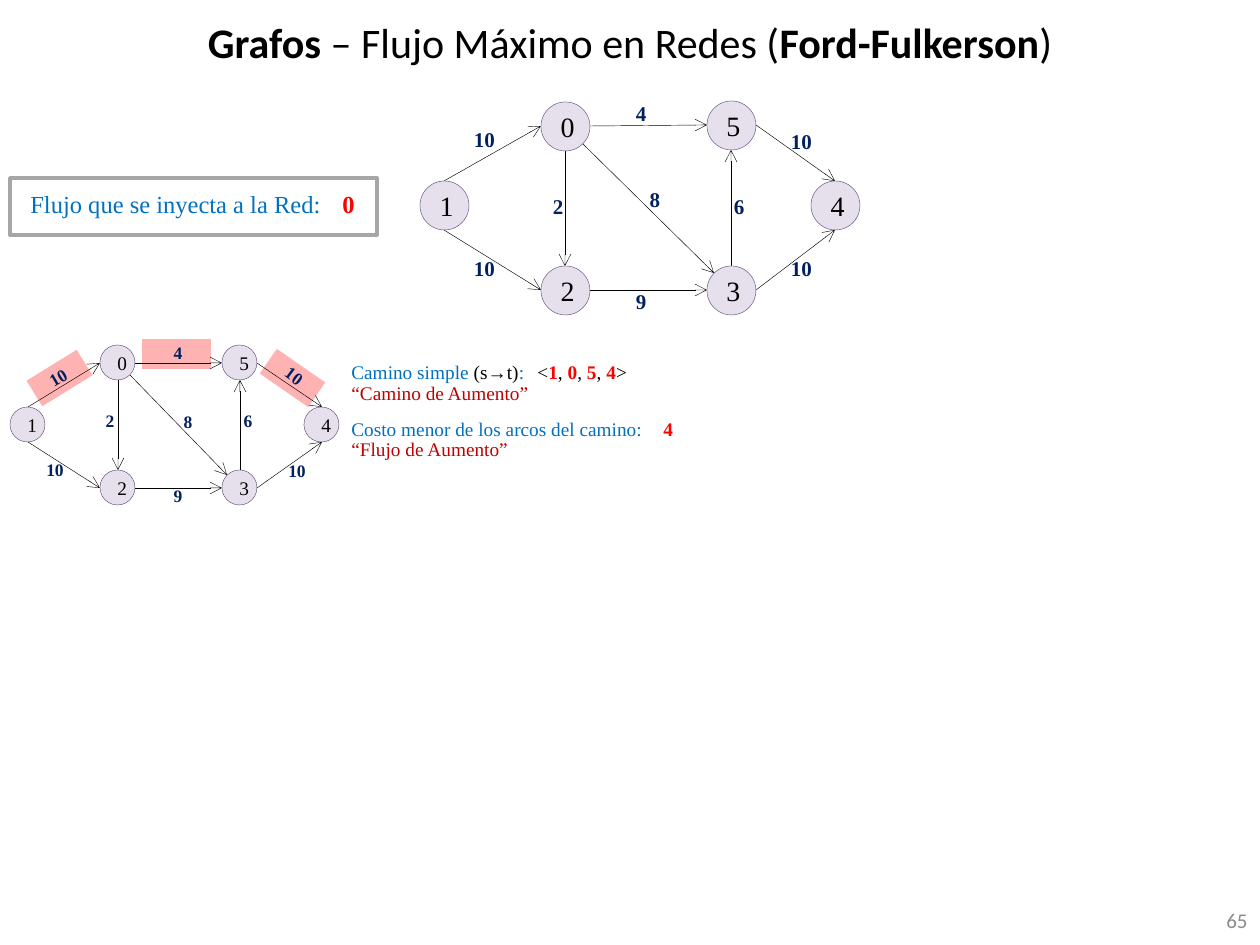
from dataclasses import dataclass
from lxml.etree import SubElement
from pptx import Presentation
from pptx.dml.color import RGBColor
from pptx.enum.shapes import MSO_CONNECTOR, MSO_SHAPE
from pptx.enum.text import MSO_ANCHOR, MSO_AUTO_SIZE, PP_ALIGN
from pptx.oxml.ns import qn
from pptx.util import Pt

SCALE = 914400 / 126  # EMU in one px


def px(*sizes):
    return [round(size * SCALE) for size in sizes]


@dataclass(frozen=True)
class Theme:
    black: str = "000000"
    blue: str = "0070C0"
    navy: str = "002060"
    red: str = "FF0000"
    wine: str = "C00000"
    gray: str = "8C8C8C"
    frame: str = "A6A6A6"
    lilac: str = "E6E0EC"
    purple: str = "604A7B"
    serif: str = "Times New Roman"
    sans: str = "Calibri"
    head: int = 24
    lead: int = 14
    note: int = 11
    page: int = 12


def write(frame, *runs, font, size, color="000000", bold=False,
          align=PP_ALIGN.LEFT, anchor=MSO_ANCHOR.TOP, lead=None):
    """Fill a frame; a run is a text, or (text, color, bold)."""
    frame.word_wrap = True
    frame.auto_size = MSO_AUTO_SIZE.NONE
    frame.vertical_anchor = anchor
    para = frame.paragraphs[0]
    para.alignment = align
    if lead:
        para.line_spacing = Pt(lead)
    for item in runs:
        text, tint, heavy = (item, color, bold) if isinstance(item, str) else item
        run = para.add_run()
        run.text = text
        run.font.name = font
        run.font.size = Pt(size)
        run.font.bold = heavy
        run.font.color.rgb = RGBColor.from_string(tint)


class Deck:
    def __init__(self, theme):
        self.theme = theme
        self.file = Presentation()
        self.file.slide_width, self.file.slide_height = px(1260, 945)
        self.slide = self.file.slides.add_slide(self.file.slide_layouts[5])
        self.art = self.slide.shapes  # where new parts go

    def title(self, box, *runs):
        head = self.slide.shapes.title
        head.left, head.top, head.width, head.height = px(*box)
        write(head.text_frame, *runs, font=self.theme.sans, size=self.theme.head,
              align=PP_ALIGN.CENTER, anchor=MSO_ANCHOR.MIDDLE)

    def text(self, box, *runs, turn=0, **style):
        area = self.art.add_textbox(*px(*box))
        area.rotation = turn
        write(area.text_frame, *runs, **{"font": self.theme.serif, **style})

    def shape(self, kind, box, fill=None, line=None, width=0.25, turn=0, alpha=None):
        item = self.art.add_shape(kind, *px(*box))
        item.shadow.inherit = False
        item.rotation = turn
        if fill:
            item.fill.solid()
            item.fill.fore_color.rgb = RGBColor.from_string(fill)
        else:
            item.fill.background()
        if alpha:
            tint = next(item.element.iter(qn("a:srgbClr")))
            SubElement(tint, qn("a:alpha"), val=str(alpha * 1000))
        if line:
            item.line.color.rgb = RGBColor.from_string(line)
            item.line.width = Pt(width)
        else:
            item.line.fill.background()
        return item

    def arrow(self, start, end):
        link = self.art.add_connector(MSO_CONNECTOR.STRAIGHT, *px(*start, *end))
        link.line.color.rgb = RGBColor.from_string(self.theme.black)
        link.line.width = Pt(0.25)
        props = link.element.spPr
        SubElement(props.find(qn("a:ln")), qn("a:tailEnd"), type="arrow")
        SubElement(props, qn("a:effectLst"))

    def graph(self, nodes, side, tags, wide, size, small):
        """Draw the network: arrows, then costs, then nodes on top."""
        self.art = self.slide.shapes.add_group_shape().shapes
        for edge in EDGES:
            start, end, exit, entry, _ = edge
            self.arrow(*[(x + round(side * u), y + round(side * v))
                         for (x, y), (u, v) in ((nodes[start], PORTS[exit]),
                                                (nodes[end], PORTS[entry]))])
        for (*_, cost), (x, y, *turn) in zip(EDGES, tags):
            self.text((x, y, wide if len(cost) > 1 else 44, 28), cost,
                      turn=turn[0] if turn else 0, size=size, bold=True,
                      color=self.theme.navy, align=PP_ALIGN.CENTER, lead=8)
        for name, (x, y) in nodes.items():
            disc = self.shape(MSO_SHAPE.OVAL, (x, y, side, side),
                              fill=self.theme.lilac, line=self.theme.purple)
            write(disc.text_frame, name, font=self.theme.serif, size=small,
                  align=PP_ALIGN.CENTER, anchor=MSO_ANCHOR.MIDDLE)
        self.art = self.slide.shapes


# Points on a node, as shares of its side
PORTS = {"top": (0.5, 0), "left": (0, 0.5), "low": (0.5, 1), "right": (1, 0.5),
         "southeast": (0.86, 0.86), "northwest": (0.14, 0.14)}

# From, to, exit port, entry port, cost
EDGES = [
    ("1", "0", "top", "left", "10"),
    ("0", "5", "right", "left", "4"),
    ("0", "2", "low", "top", "2"),
    ("2", "3", "right", "left", "9"),
    ("0", "3", "southeast", "northwest", "8"),
    ("3", "5", "top", "low", "6"),
    ("5", "4", "right", "top", "10"),
    ("3", "4", "right", "low", "10"),
    ("1", "2", "low", "left", "10"),
]


def main():
    look = Theme()
    deck = Deck(look)

    # Title and page number
    deck.title((0, 0, 1260, 84), ("Grafos ", look.black, True),
               "– Flujo Máximo en Redes (",
               ("Ford-Fulkerson", look.black, True), ")")
    deck.text((1207, 895, 53, 50), "65", font=look.sans, size=look.page,
              color=look.gray, align=PP_ALIGN.RIGHT, anchor=MSO_ANCHOR.MIDDLE)

    # Marks behind the chosen path
    for box, turn in (((142, 339, 69, 30), 0), ((263, 363, 59, 30), 34.7),
                      ((30, 363, 59, 30), 328.3)):
        deck.shape(MSO_SHAPE.RECTANGLE, box, fill=look.red, turn=turn, alpha=30)

    # Full network
    deck.graph({"1": (420, 181), "2": (541, 266), "0": (541, 102),
                "5": (707, 101), "4": (811, 181), "3": (707, 266)}, 49,
               [(460, 132), (619, 106), (536, 199), (619, 294), (633, 192),
                (717, 199), (777, 134), (777, 261), (460, 261)],
               wide=49, size=12, small=16)

    # First step
    deck.graph({"1": (10, 407), "2": (100, 470), "0": (100, 345),
                "5": (222, 345), "4": (304, 407), "3": (222, 470)}, 35,
               [(38, 367, 329.5), (156, 343), (88, 411), (156, 486), (166, 412),
                (226, 411), (270, 365, 36.5), (275, 461), (33, 460)],
               wide=44, size=10, small=11)

    # Path and flow of the step
    deck.text((339, 354, 217, 36), "Camino simple ", ("(s→t)", look.black, False),
              ":", size=look.note, color=look.blue)
    path = ["<"]
    for node in "1054":
        path += [(node, look.red, True), ", "]
    path[-1] = ">"
    deck.text((525, 354, 121, 36), *path, size=look.note)
    deck.text((339, 411, 333, 36), "Costo menor de los arcos del camino:",
              size=look.note, color=look.blue)
    deck.text((651, 411, 32, 36), "4", size=look.note, color=look.red, bold=True)
    for top, name in ((375, "“Camino de Aumento”"), (431, "“Flujo de Aumento”")):
        deck.text((339, top, 217, 36), name, size=look.note, color=look.wine)

    # Total flow
    deck.text((18, 183, 328, 49), "Flujo que se inyecta a la Red:",
              size=look.lead, color=look.blue)
    deck.text((330, 183, 32, 43), "0", size=look.lead, color=look.red, bold=True)
    deck.shape(MSO_SHAPE.RECTANGLE, (10, 178, 367, 57), line=look.frame, width=2)

    deck.file.save("out.pptx")


if __name__ == "__main__":
    main()
